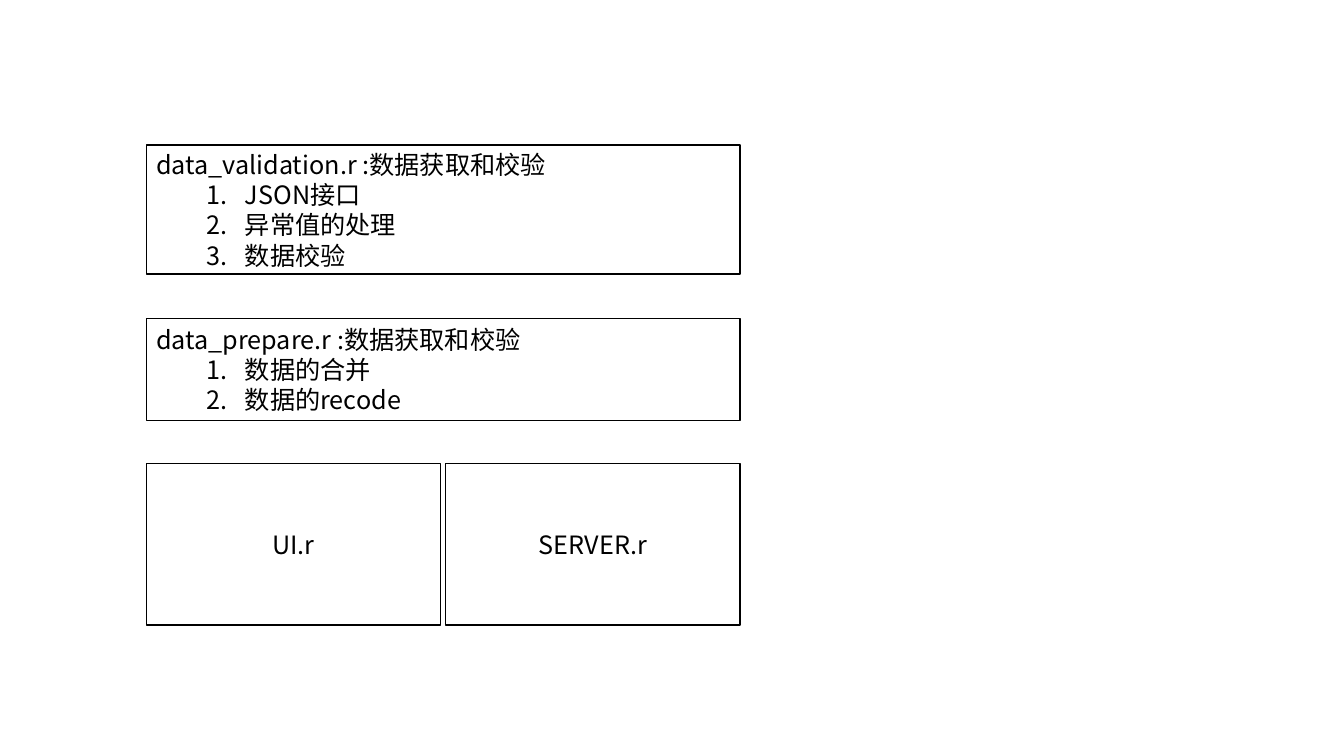
from dataclasses import dataclass

from lxml.etree import SubElement
from pptx import Presentation
from pptx.dml.color import RGBColor as Rgb
from pptx.enum.shapes import MSO_SHAPE as Shape
from pptx.enum.text import MSO_ANCHOR as Anchor, PP_ALIGN as Align
from pptx.oxml.ns import qn
from pptx.slide import Slide
from pptx.text.text import _Paragraph as Para
from pptx.util import Pt

PX = 9144  # EMU in one px, 100 px to the inch
COLORS = {"paper": "FFFFFF", "ink": "000000"}
FONT = "Noto Sans CJK SC"
FORMAT = {"name": FONT, "size": Pt(18)}
LEFT, WIDE, GAP = 145, 589, 5
HALF = (WIDE - GAP) // 2
INDENT, HANG = 88, 38


@dataclass(frozen=True)
class Box:
    left: int
    top: int
    width: int
    height: int
    title: str
    steps: tuple[str, ...] = ()


BOXES = [
    Box(LEFT, 144, WIDE, 128, "data_validation.r :数据获取和校验",
        ("JSON接口", "异常值的处理", "数据校验")),
    Box(LEFT, 316, WIDE, 101, "data_prepare.r :数据获取和校验",
        ("数据的合并", "数据的recode")),
    Box(LEFT, 460, HALF, 160, "UI.r"),
    Box(LEFT + HALF + GAP, 460, HALF, 160, "SERVER.r"),
]


def color(name: str) -> Rgb:
    return Rgb.from_string(COLORS[name])


def write(para: Para, text: str) -> None:
    run = para.add_run()
    run.text = text
    for key, value in FORMAT.items():
        setattr(run.font, key, value)
    run.font.color.rgb = color("ink")
    SubElement(run.font._element, qn("a:ea"), typeface=FONT)


def number(para: Para) -> None:
    """Make the paragraph an indented item of a numbered list."""
    para.level = 1
    props = para._p.get_or_add_pPr()
    props.set("marL", str(INDENT * PX))
    props.set("indent", str(-HANG * PX))
    SubElement(props, qn("a:buFont"), typeface="+mj-lt")
    SubElement(props, qn("a:buAutoNum"), type="arabicPeriod")


def draw(slide: Slide, box: Box) -> None:
    edges = (box.left, box.top, box.width, box.height)
    shape = slide.shapes.add_shape(Shape.RECTANGLE, *(n * PX for n in edges))
    shape.shadow.inherit = False
    shape.fill.solid()
    shape.fill.fore_color.rgb = color("paper")
    shape.line.color.rgb = color("ink")
    shape.line.width = Pt(1)

    frame = shape.text_frame
    frame.word_wrap = True
    frame.vertical_anchor = Anchor.MIDDLE
    head = frame.paragraphs[0]
    head.alignment = Align.LEFT if box.steps else Align.CENTER
    write(head, box.title)
    for step in box.steps:
        para = frame.add_paragraph()
        para.alignment = Align.LEFT
        number(para)
        write(para, step)


def main() -> None:
    deck = Presentation()
    deck.slide_width, deck.slide_height = 1333 * PX, 750 * PX
    slide = deck.slides.add_slide(deck.slide_layouts[6])
    for box in BOXES:
        draw(slide, box)
    deck.save("out.pptx")


if __name__ == "__main__":
    main()
